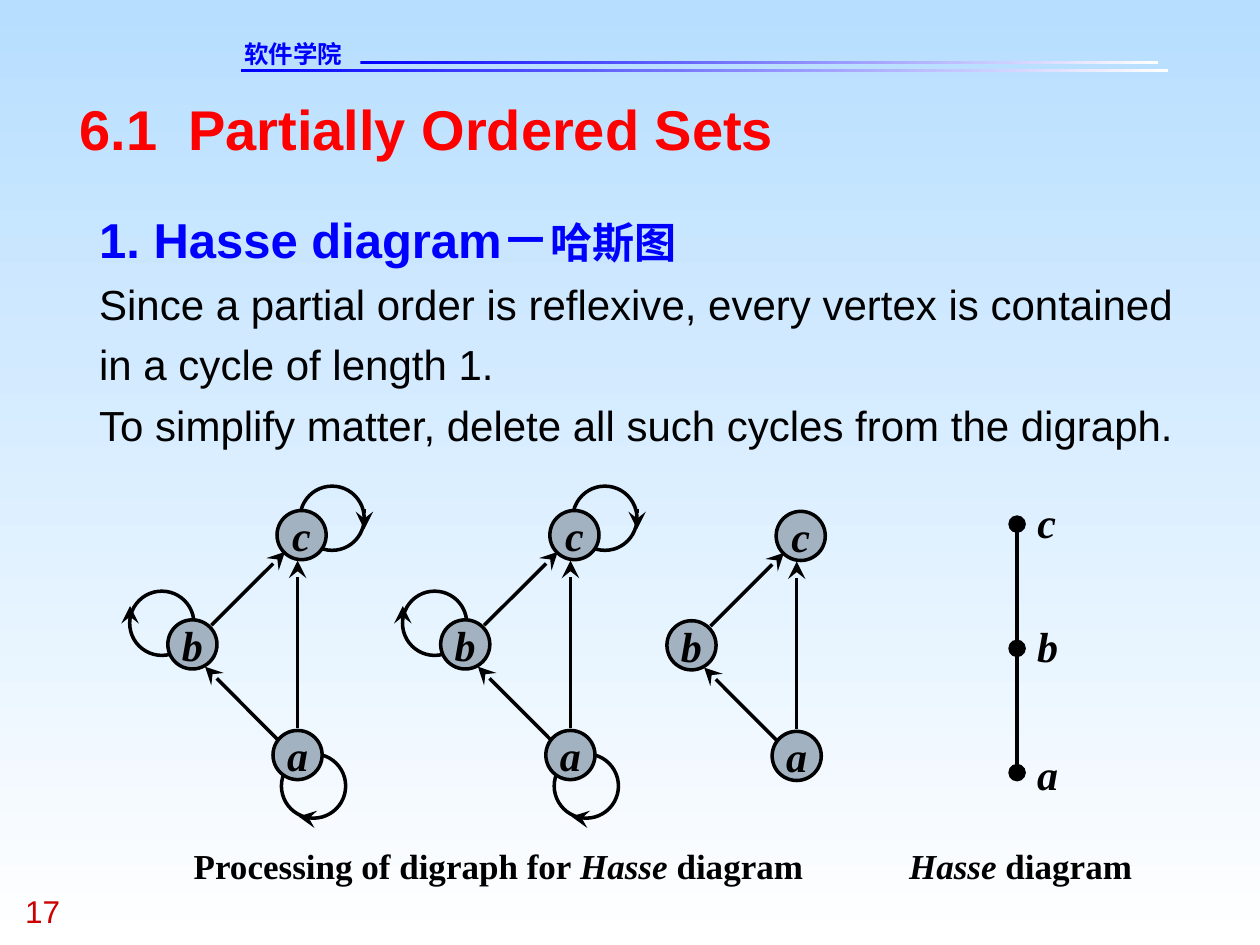
"""Build a slide on simplifying a partial-order digraph into a Hasse diagram."""
from typing import NamedTuple, Optional

from lxml.etree import SubElement
from pptx import Presentation
from pptx.dml.color import RGBColor
from pptx.enum.shapes import MSO_CONNECTOR, MSO_SHAPE
from pptx.enum.text import MSO_ANCHOR, MSO_AUTO_SIZE, PP_ALIGN
from pptx.oxml.ns import qn
from pptx.util import Pt

BLUE, RED, BLACK, WHITE = "0000FF", "FF0000", "000000", "FFFFFF"
SERIF = "Times New Roman"
NODE_SIZE, LOOP_SIZE, LINE_WIDTH = 28.1, 36.7, 2


class Span(NamedTuple):
    text: str
    size: float
    color: str = BLACK
    bold: bool = False
    italic: bool = False
    font: str = "Arial"


class Vertex(NamedTuple):
    name: str
    left: float
    top: float


class Loop(NamedTuple):
    left: float
    top: float
    start: tuple[float, float]
    end: tuple[float, float]


class Edge(NamedTuple):
    start: tuple[float, float]
    end: tuple[float, float]


class Digraph(NamedTuple):
    shift: float
    drop: float
    has_loops: bool


class Label(NamedTuple):
    name: str
    top: float
    width: float


VERTICES = [Vertex("b", 95.9, 354.2), Vertex("c", 158.3, 291.7), Vertex("a", 156, 417.4)]
LOOPS = [
    Loop(74.1, 337.8, (74.3, 355), (74.3, 346.3)),
    Loop(171.4, 277.8, (208.2, 290.9), (208.2, 302.4)),
    Loop(160.8, 430.8, (179.3, 468), (170.6, 466.6)),
]
EDGES = [
    Edge((159.3, 423.2), (117.2, 381)),
    Edge((120.8, 357.3), (162.8, 315.4)),
    Edge((170.1, 416.2), (170.1, 320.4)),
]
DIGRAPHS = [Digraph(0, 0, True), Digraph(155.9, 0, True), Digraph(285.2, 0.5, False)]
LABELS = [Label("a", 427.7, 12), Label("b", 354.5, 12), Label("c", 284, 10.7)]
HASSE_X, HASSE_LEVELS = 581.2, [441.5, 370.5, 299.5]


def rgb(color: str) -> RGBColor:
    """Turn a hex string into a colour."""
    return RGBColor.from_string(color)


def fill_gradient(fill, first: str, last: str, angle: float) -> None:
    """Give a fill a two-colour linear gradient."""
    fill.gradient()
    fill.gradient_angle = angle
    for stop, color in zip(fill.gradient_stops, (first, last)):
        stop.color.rgb = rgb(color)


def write(shape, paragraphs: list[list[Span]], align=PP_ALIGN.LEFT, anchor=MSO_ANCHOR.TOP,
          wrap: bool = True, line_spacing: Optional[float] = None) -> None:
    """Fill a shape with formatted paragraphs and no margins."""
    frame = shape.text_frame
    frame.auto_size = MSO_AUTO_SIZE.NONE
    frame.margin_left = frame.margin_right = frame.margin_top = frame.margin_bottom = 0
    frame.word_wrap, frame.vertical_anchor = wrap, anchor
    for index, spans in enumerate(paragraphs):
        para = frame.add_paragraph() if index else frame.paragraphs[0]
        para.alignment = align
        para.space_before = Pt(0)
        if line_spacing:
            para.line_spacing = line_spacing
        for span in spans:
            run = para.add_run()
            run.text = span.text
            run.font.name, run.font.size = span.font, Pt(span.size)
            run.font.bold, run.font.italic = span.bold, span.italic
            run.font.color.rgb = rgb(span.color)


def add_text(slide, left: float, top: float, width: float, height: float,
             paragraphs: list[list[Span]], **layout) -> None:
    """Add a text box."""
    box = slide.shapes.add_textbox(Pt(left), Pt(top), Pt(width), Pt(height))
    write(box, paragraphs, **layout)


def add_rule(slide, left: float, top: float, width: float) -> None:
    """Add a thin bar that fades from blue to white."""
    bar = slide.shapes.add_shape(MSO_SHAPE.RECTANGLE, Pt(left), Pt(top), Pt(width), Pt(1.7))
    bar.shadow.inherit = False
    fill_gradient(bar.fill, BLUE, WHITE, 0)
    bar.line.fill.background()


def add_circle(slide, left: float, top: float, size: float, color: Optional[str] = None):
    """Add a black-edged circle, hollow unless a colour is given."""
    circle = slide.shapes.add_shape(MSO_SHAPE.OVAL, Pt(left), Pt(top), Pt(size), Pt(size))
    circle.shadow.inherit = False
    circle.line.color.rgb, circle.line.width = rgb(BLACK), Pt(LINE_WIDTH)
    if color:
        circle.fill.solid()
        circle.fill.fore_color.rgb = rgb(color)
    else:
        circle.fill.background()
    return circle


def add_line(slide, start: tuple[float, float], end: tuple[float, float],
             tail: str, head: Optional[str] = None) -> None:
    """Add a black line with the given end marks."""
    line = slide.shapes.add_connector(MSO_CONNECTOR.STRAIGHT, *map(Pt, start + end))
    line.line.color.rgb, line.line.width = rgb(BLACK), Pt(LINE_WIDTH)
    outline = line.line._get_or_add_ln()
    for tag, mark in (("a:headEnd", head), ("a:tailEnd", tail)):
        if mark:
            SubElement(outline, qn(tag), type=mark, w="lg", len="lg")
    SubElement(line._element.spPr, qn("a:effectLst"))


def letter(name: str) -> list[list[Span]]:
    """Return the text of a vertex name."""
    return [[Span(name, 24, bold=True, italic=True, font=SERIF)]]


def draw_digraph(slide, graph: Digraph) -> None:
    """Draw one stage of the digraph."""
    def move(point: tuple[float, float]) -> tuple[float, float]:
        return point[0] + graph.shift, point[1] + graph.drop

    for loop in LOOPS if graph.has_loops else []:
        add_circle(slide, *move((loop.left, loop.top)), LOOP_SIZE)
        add_line(slide, move(loop.start), move(loop.end), "stealth")
    for vertex in VERTICES:
        node = add_circle(slide, *move((vertex.left, vertex.top)), NODE_SIZE, "A3B2C1")
        write(node, letter(vertex.name), PP_ALIGN.CENTER, MSO_ANCHOR.MIDDLE, wrap=False)
    for edge in EDGES:
        add_line(slide, move(edge.start), move(edge.end), "stealth")


def draw_hasse(slide) -> None:
    """Draw the finished Hasse diagram."""
    for label in LABELS:
        add_text(slide, 592.7, label.top, label.width, 28.8, letter(label.name),
                 align=PP_ALIGN.CENTER, wrap=False)
    bottom, middle, top = [(HASSE_X, level) for level in HASSE_LEVELS]
    add_line(slide, bottom, middle, "oval", "oval")
    add_line(slide, middle, top, "oval")


def main() -> None:
    """Build and save the deck."""
    deck = Presentation()
    deck.slide_width, deck.slide_height = Pt(720), Pt(540)
    page = deck.slides.add_slide(deck.slide_layouts[5])
    fill_gradient(page.background.fill, "B7DEFF", WHITE, 270)
    add_rule(page, 137.5, 39.5, 530)
    add_rule(page, 205.9, 34.8, 456)
    add_text(page, 139.5, 22.3, 104, 16.6, [[Span("软件学院", 14, BLUE, True, font="DejaVu Sans")]])
    add_text(page, 14.4, 510, 54, 21.6, [[Span("17", 18, "CC0000")]])
    title = page.shapes.title
    title.left, title.top, title.width, title.height = map(Pt, (45.4, 54, 630, 38.2))
    write(title, [[Span("6.1  Partially Ordered Sets", 32, RED, True)]])
    add_text(page, 56.7, 113, 631, 178.6, [
        [Span("1. Hasse diagram－", 28, BLUE, True), Span("哈斯图", 24, BLUE, True)],
        [Span("Since a partial order is reflexive, every vertex is contained in a cycle of length 1.", 24)],
        [Span("To simplify matter, delete all such cycles from the digraph.", 24)],
    ], line_spacing=1.2)
    for graph in DIGRAPHS:
        draw_digraph(page, graph)
    draw_hasse(page)
    plain = Span("", 20, bold=True, font=SERIF)
    slanted = plain._replace(italic=True)
    add_text(page, 110.2, 482.4, 349.2, 23.8, [[
        plain._replace(text="Processing of digraph for "), slanted._replace(text="Hasse "),
        plain._replace(text="diagram")]], align=PP_ALIGN.CENTER, wrap=False)
    add_text(page, 506.9, 482.4, 152.6, 23.8, [[
        slanted._replace(text="Hasse"), plain._replace(text=" diagram")]], align=PP_ALIGN.CENTER)
    deck.save("out.pptx")


if __name__ == "__main__":
    main()
